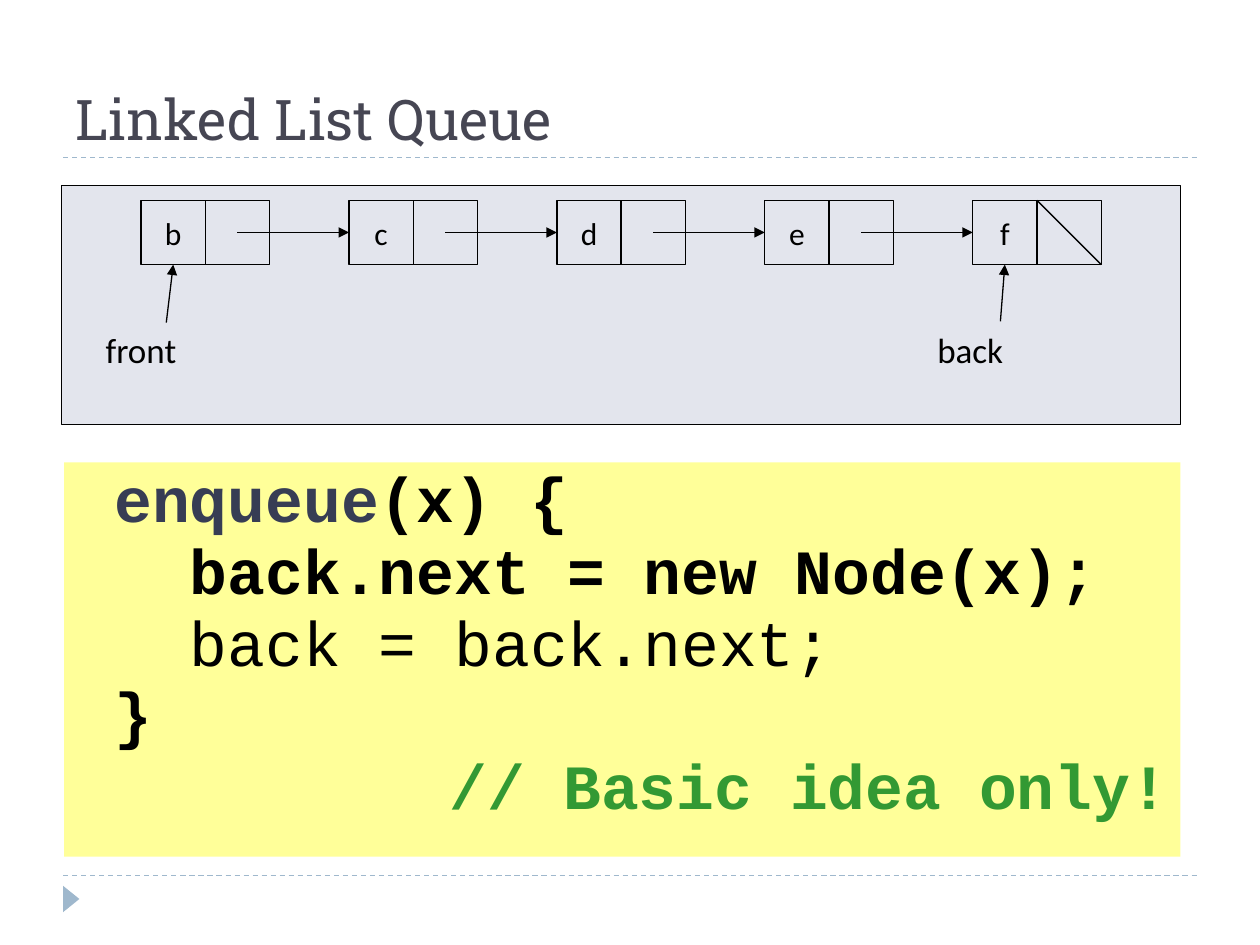
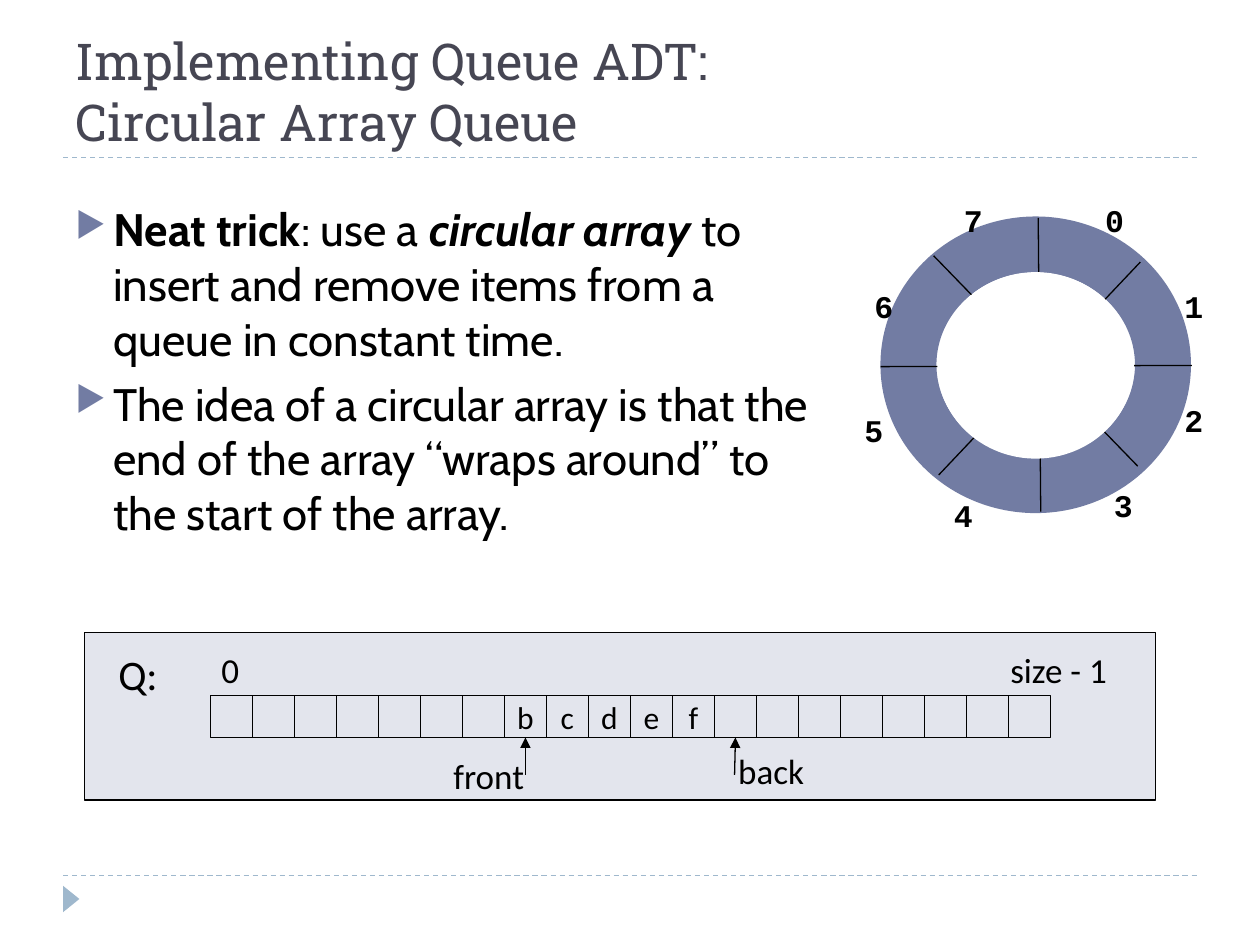
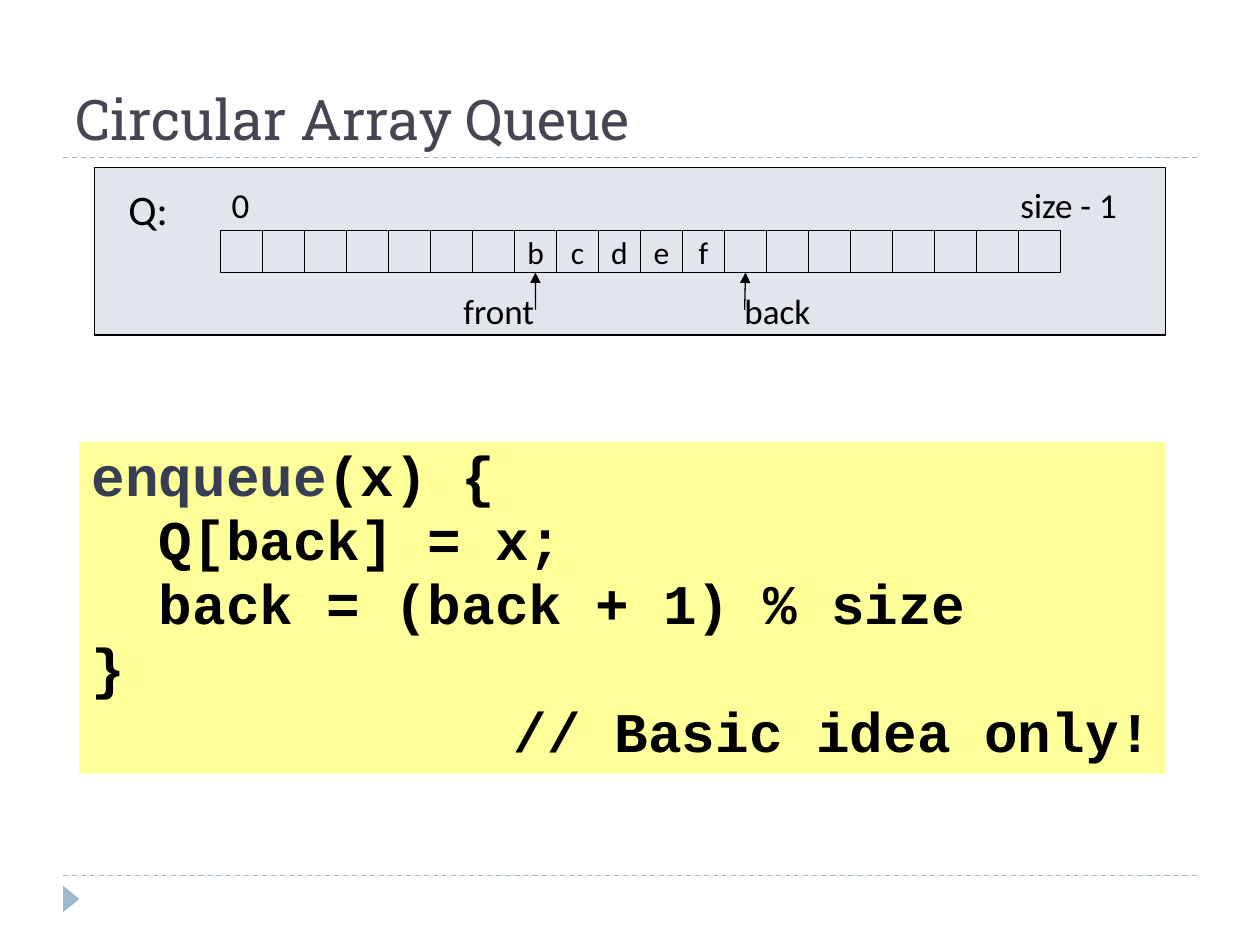
from lxml import etree
from pptx import Presentation
from pptx.dml.color import RGBColor
from pptx.enum.dml import MSO_LINE_DASH_STYLE as Dash
from pptx.enum.shapes import MSO_CONNECTOR, MSO_SHAPE as Shape
from pptx.enum.text import MSO_ANCHOR as Anchor, PP_ALIGN as Align
from pptx.oxml.ns import qn
from pptx.util import Inches, Pt

BLACK = RGBColor(0x00, 0x00, 0x00)
WHITE = RGBColor(0xFF, 0xFF, 0xFF)
TITLE_GREY = RGBColor(0x46, 0x46, 0x53)
RULE_BLUE = RGBColor(0x9F, 0xB8, 0xCD)
RING_BLUE = RGBColor(0x72, 0x7C, 0xA3)
PANEL_BLUE = RGBColor(0xE3, 0xE5, 0xED)
KEYWORD_BLUE = RGBColor(0x37, 0x3D, 0x54)
CODE_YELLOW = RGBColor(0xFF, 0xFF, 0x99)
COMMENT_GREEN = RGBColor(0x33, 0x99, 0x33)

TITLE_FONT, BODY_FONT = "Roboto Slab", "Cabin"
LABEL_FONT, CODE_FONT = "Calibri", "Courier New"

ITEMS = "bcdef"
BULLETS = [
    [("Neat trick", {"bold": True}), ": use a ",
     ("circular array", {"bold": True, "italic": True}),
     " to insert and remove items from a queue in constant time."],
    "The idea of a circular array is that the end of the array "
    "“wraps around” to the start of the array.",
]
RING_LABELS = [(8.59, 1.55), (9.22, 2.23), (9.22, 3.13), (8.66, 3.81),
               (7.39, 3.89), (6.68, 3.21), (6.76, 2.23), (7.47, 1.55)]
RING_SPOKES = [((8.24, 1.73), (8.26, 4.06)), ((6.99, 2.91), (9.46, 2.9)),
               ((7.41, 2.03), (9.03, 3.7)), ((9.05, 2.08), (7.45, 3.77))]


def add_bullet(para):
    properties = para._p.get_or_add_pPr()
    properties.set("marL", str(Inches(0.3)))
    properties.set("indent", str(-Inches(0.3)))
    color = etree.SubElement(properties, qn("a:buClr"))
    etree.SubElement(color, qn("a:srgbClr"), val=str(RING_BLUE))
    etree.SubElement(properties, qn("a:buSzPct"), val="76000")
    etree.SubElement(properties, qn("a:buChar"), char="▶")


def write(box, paragraphs, font=LABEL_FONT, size=18, color=BLACK, bold=False,
          align=Align.LEFT, anchor=Anchor.TOP, wrap=True, space=0,
          line_spacing=None, bullet=False):
    """Fill a box; a paragraph is a string or a list of strings and (text, overrides)."""
    frame = box.text_frame
    frame.word_wrap = wrap
    frame.vertical_anchor = anchor
    for index, spans in enumerate(paragraphs):
        para = frame.paragraphs[0] if index == 0 else frame.add_paragraph()
        if bullet:
            add_bullet(para)
        para.alignment = align
        if line_spacing:
            para.line_spacing = line_spacing
        if index and space:
            para.space_before = Pt(space)
        for span in [spans] if isinstance(spans, str) else spans:
            text, changes = (span, {}) if isinstance(span, str) else span
            for number, part in enumerate(text.split("\n")):
                if number:
                    para.add_line_break()
                run = para.add_run()
                run.text = part
                run.font.name = font
                run.font.size = Pt(size)
                run.font.bold = changes.get("bold", bold)
                run.font.italic = changes.get("italic", False)
                run.font.color.rgb = changes.get("color", color)


class SlideBuilder:
    """Holds the deck, its shared style and the slide being built."""

    def __init__(self):
        self.deck = Presentation()
        self.deck.slide_width, self.deck.slide_height = Inches(10), Inches(7.5)
        self.slide = None

    def start(self, title, size=32):
        self.slide = self.deck.slides.add_slide(self.deck.slide_layouts[6])
        for y in (6.95, 1.25):
            self.line((0.5, y), (9.5, y), RULE_BLUE).line.dash_style = Dash.DASH
        marker = self.shape(0.46, 7.07, 0.21, 0.13, Shape.ISOSCELES_TRIANGLE,
                            fill=RULE_BLUE)
        marker.rotation = 90
        self.text(0.5, 0.17, 9, 1.08, [title], font=TITLE_FONT, size=size,
                  color=TITLE_GREY, anchor=Anchor.BOTTOM)

    def shape(self, left, top, width, height, kind=Shape.RECTANGLE,
              fill=None, outline=None, weight=0.75):
        shape = self.slide.shapes.add_shape(
            kind, Inches(left), Inches(top), Inches(width), Inches(height))
        shape.shadow.inherit = False
        if fill is None:
            shape.fill.background()
        else:
            shape.fill.solid()
            shape.fill.fore_color.rgb = fill
        if outline is None:
            shape.line.fill.background()
        else:
            shape.line.color.rgb = outline
            shape.line.width = Pt(weight)
        return shape

    def text(self, left, top, width, height, paragraphs, **style):
        box = self.slide.shapes.add_textbox(
            Inches(left), Inches(top), Inches(width), Inches(height))
        write(box, paragraphs, **style)
        return box

    def label(self, left, top, width, height, text, size=20):
        box = self.text(left, top, width, height, [text], size=size)
        box.text_frame.margin_right = 0

    def cell(self, left, top, side, letter=""):
        cell = self.shape(left, top, side, side, outline=BLACK)
        if letter:
            write(cell, [letter], align=Align.CENTER, anchor=Anchor.MIDDLE, wrap=False)
        return cell

    def line(self, start, end, color=BLACK):
        line = self.slide.shapes.add_connector(
            MSO_CONNECTOR.STRAIGHT, *(Inches(value) for value in (*start, *end)))
        line.line.color.rgb = color
        line.line.width = Pt(0.75)
        etree.SubElement(line._element.spPr, qn("a:effectLst"))
        return line

    def arrow(self, start, target, side):
        """Draw an arrow from a point to the middle of one side of a rectangle."""
        arrow = self.line(start, start)
        arrow.end_connect(target, side)
        etree.SubElement(arrow.line._get_or_add_ln(), qn("a:tailEnd"), type="triangle")

    def code(self, left, top, width, height, lines, size, comment_color=BLACK):
        box = self.shape(left, top, width, height, fill=CODE_YELLOW)
        write(box, lines, font=CODE_FONT, size=size, bold=True, space=2,
              line_spacing=0.9)
        comment = box.text_frame.paragraphs[-1]
        comment.alignment = Align.RIGHT
        comment.runs[0].font.color.rgb = comment_color

    def linked_list(self):
        side, pitch, left, top = 0.51, 1.65, 1.12, 1.59
        self.shape(0.49, 1.47, 8.88, 1.9, fill=PANEL_BLUE, outline=BLACK)
        nodes = []
        for index, letter in enumerate(ITEMS):
            x = left + index * pitch
            nodes.append(self.cell(x, top, side, letter))
            self.cell(x + side, top, side)
            if index:
                self.arrow((x - pitch + 1.5 * side, top + side / 2), nodes[-1], 1)
        self.line((x + side, top), (x + 2 * side, top + side))
        self.label(0.74, 2.56, 1.16, 0.67, "front")
        self.label(7.34, 2.56, 1.21, 0.67, "back")
        self.arrow((1.32, 2.56), nodes[0], 2)
        self.arrow((7.94, 2.55), nodes[-1], 2)

    def array_panel(self, left, top, back_label):
        """Draw the array Q; back_label is the offset of that label in the panel."""
        side, count, front = 1 / 3, 20, 7
        back = front + len(ITEMS)
        self.shape(left, top, 8.5, 1.33, fill=PANEL_BLUE, outline=BLACK)
        letters = [""] * front + list(ITEMS) + [""] * (count - back)
        cells = [self.cell(left + 1 + index * side, top + 0.5, side, letter)
                 for index, letter in enumerate(letters)]
        self.label(left + 0.17, top + 0.08, 0.58, 0.5, "Q:", size=24)
        self.label(left + 0.99, top + 0.08, 0.36, 0.44, "0")
        self.label(left + 7.25, top + 0.08, 1.13, 0.44, "size - 1")
        self.arrow((left + 3.5, top + 1.13), cells[front], 2)
        self.arrow((left + 5.16, top + 1.13), cells[back], 2)
        self.label(left + 2.83, top + 0.92, 0.76, 0.44, "front")
        self.label(left + back_label[0], top + back_label[1], 0.79, 0.44, "back")

    def ring(self):
        self.shape(7.21, 1.94, 2.02, 1.91, Shape.OVAL, outline=RING_BLUE, weight=32)
        for start, end in RING_SPOKES:
            self.line(start, end)
        self.shape(7.44, 2.16, 1.56, 1.48, Shape.OVAL, fill=WHITE)
        for index, (x, y) in enumerate(RING_LABELS):
            self.text(x, y, 0.51, 0.4, [str(index)], font=CODE_FONT, bold=True,
                      align=Align.CENTER)


def main():
    builder = SlideBuilder()
    keyword = {"color": KEYWORD_BLUE}

    builder.start("Linked List Queue")
    builder.linked_list()
    builder.code(0.51, 3.67, 8.86, 3.13, [
        [(" enqueue", keyword), "(x) {"],
        "   back.next = new Node(x);",
        [("   back = back.next;", {"bold": False})],
        " }",
        "// Basic idea only!",
    ], size=36, comment_color=COMMENT_GREEN)

    builder.start("Implementing Queue ADT:\nCircular Array Queue", size=29)
    builder.text(0.5, 1.55, 6.26, 5.15, BULLETS, font=BODY_FONT, size=26,
                 space=6, bullet=True)
    builder.ring()
    builder.array_panel(0.67, 5.02, (5.09, 0.88))

    builder.start("Circular Array Queue")
    builder.array_panel(0.75, 1.33, (5.06, 0.92))
    builder.code(0.63, 3.51, 8.62, 2.63, [
        [("enqueue", keyword), "(x) {"],
        "  Q[back] = x;",
        "  back = (back + 1) % size",
        "}",
        "// Basic idea only!",
    ], size=32)

    builder.deck.save("out.pptx")


if __name__ == "__main__":
    main()
